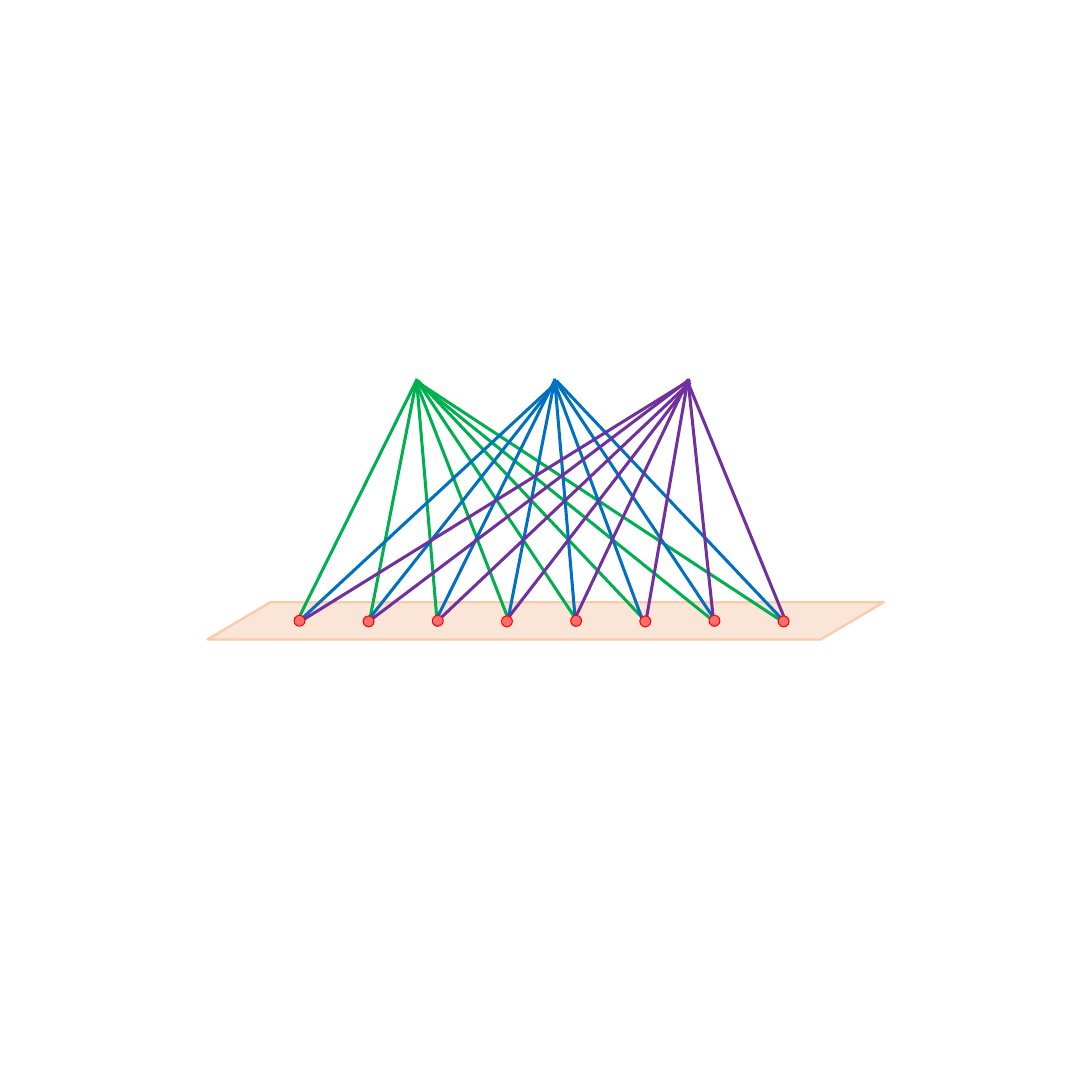
"""Draw three fans of rays that meet a row of dots on a plane."""
from typing import NamedTuple

from pptx import Presentation
from pptx.dml.color import RGBColor
from pptx.enum import shapes as kinds
from pptx.oxml import ns, xmlchemy as xml
from pptx.util import Cm, Pt

HUES = {
    "plane": "FBE5D6", "edge": "F8CBAD", "dot": "FF6D6D", "rim": "FF0000",
    "green": "00B050", "blue": "0070C0", "purple": "7030A0",
}
COUNT = 8
PITCH = 2.413
DOT = 0.38


class Fan(NamedTuple):
    """Rays of one hue: tops by dot, and the range of dots met steeply."""
    hue: str
    steep: range
    tops: list[tuple[float, float]]


FANS = [
    Fan("green", range(1, 3), [
        (14.53, 13.28), (14.53, 13.28), (14.53, 13.21), (14.53, 13.36),
        (14.55, 13.28), (14.58, 13.28), (14.58, 13.36), (14.58, 13.34)]),
    Fan("blue", range(3, 6), [
        (19.41, 13.36), (19.41, 13.34), (19.35, 13.28), (19.35, 13.28),
        (19.35, 13.21), (19.35, 13.36), (19.38, 13.28), (19.41, 13.28)]),
    Fan("purple", range(5, 7), [
        (24.08, 13.26), (24.03, 13.26), (24.08, 13.34), (24.08, 13.34),
        (24.0, 13.26), (24.0, 13.26), (24.0, 13.21), (24.0, 13.34)]),
]


def tint(name: str) -> RGBColor:
    """Return the named colour."""
    return RGBColor.from_string(HUES[name])


def form(slide, kind, box: tuple, fill: str, line: str, width: float):
    """Add a filled preset shape at box, in centimetres."""
    item = slide.shapes.add_shape(kind, *map(Cm, box))
    item.shadow.inherit = False
    item.fill.solid()
    item.fill.fore_color.rgb = tint(fill)
    item.line.color.rgb = tint(line)
    item.line.width = Pt(width)
    return item


def ray(slide, top: tuple, foot: tuple, hue: str) -> None:
    """Add a straight line from top to foot, in centimetres."""
    item = slide.shapes.add_connector(
        kinds.MSO_CONNECTOR.STRAIGHT, *map(Cm, top + foot))
    item.line.color.rgb = tint(hue)
    item.line.width = Pt(3)
    item._element.spPr.append(xml.OxmlElement("a:effectLst"))


def spread(slide, fan: Fan) -> None:
    """Draw all rays of a fan, each foot shifted by the way it leans."""
    for i, top in enumerate(fan.tops):
        shift = 0.13 * ((i >= fan.steep.start) + (i >= fan.steep.stop))
        low = 21.86 if i in fan.steep else 21.79
        ray(slide, top, (10.31 + i * PITCH + shift, low), fan.hue)


def main() -> None:
    """Build and save the slide."""
    deck = Presentation()
    deck.slide_width = deck.slide_height = Cm(38.1)
    slide = deck.slides.add_slide(deck.slide_layouts[6])
    plane = form(slide, kinds.MSO_SHAPE.PARALLELOGRAM,
                 (7.24, 21.01, 23.6, 1.3), "plane", "edge", 2.25)
    plane.adjustments[0] = 1.69
    for fan in FANS:
        spread(slide, fan)
    for i in range(COUNT):
        box = (10.26 + i * PITCH, 21.47 + i % 2 * 0.02, DOT, DOT)
        form(slide, kinds.MSO_SHAPE.OVAL, box, "dot", "rim", 1)
    deck.save("out.pptx")


if __name__ == "__main__":
    main()
